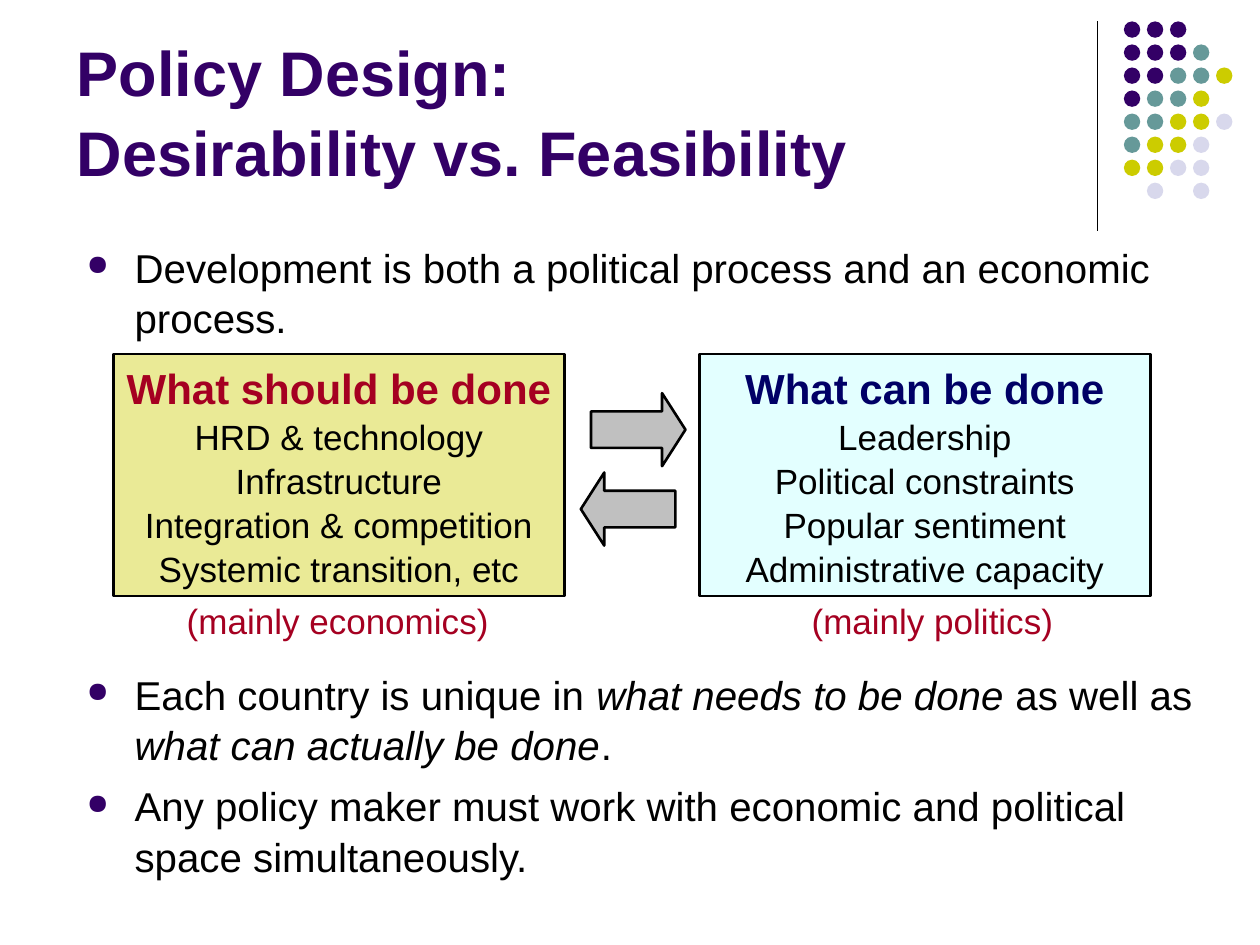
"""Build the slide on policy design, desirability and feasibility."""
import pptx
import pptx.dml.color
import pptx.enum.shapes
import pptx.enum.text
import pptx.oxml
import pptx.oxml.ns
import pptx.util
from lxml import etree

Inches, Pt = pptx.util.Inches, pptx.util.Pt
Align = pptx.enum.text.PP_ALIGN
Anchor = pptx.enum.text.MSO_ANCHOR
Kind = pptx.enum.shapes.MSO_SHAPE
qn = pptx.oxml.ns.qn
HUES = {"P": "330066", "T": "669999", "Y": "CCCC00", "L": "D8D8EC",
        "black": "000000", "red": "A50021", "navy": "000066",
        "aqua": "CCFFFF", "gray": "C0C0C0"}


def style(para, size, hue, bold=False, align=Align.LEFT):
    para.alignment = align
    para.line_spacing = 1.05
    for run in para.runs:
        run.font.name = "Arial"
        run.font.size = Pt(size)
        run.font.bold = bold
        run.font.color.rgb = pptx.dml.color.RGBColor.from_string(HUES[hue])


def draw(kind, left, top, width, height, fill, alpha=100, edge=True):
    shape = slide.shapes.add_shape(
        kind, Inches(left), Inches(top), Inches(width), Inches(height))
    shape.shadow.inherit = False
    shape.fill.solid()
    shape.fill.fore_color.rgb = pptx.dml.color.RGBColor.from_string(HUES[fill])
    if alpha < 100:
        color = shape.fill._xPr.find(".//" + qn("a:srgbClr"))
        etree.SubElement(color, qn("a:alpha"), val=str(alpha * 1000))
    if edge:
        shape.line.color.rgb = pptx.dml.color.RGBColor.from_string(HUES["black"])
        shape.line.width = Pt(1.5)
    else:
        shape.line.fill.background()
    return shape


deck = pptx.Presentation()
deck.slide_width, deck.slide_height = Inches(10), Inches(7.5)
slide = deck.slides.add_slide(deck.slide_layouts[5])

rule = slide.shapes.add_connector(
    pptx.enum.shapes.MSO_CONNECTOR.STRAIGHT,
    Inches(8.71), Inches(0.17), Inches(8.71), Inches(1.83))
rule.line.color.rgb = pptx.dml.color.RGBColor.from_string(HUES["black"])
rule.line.width = Pt(0.75)
etree.SubElement(rule._element.spPr, qn("a:effectLst"))

dots = ["PPP", "PPPT", "PPTTY", "PTTY", "TTYYL", "TYYL", "YYLL", " L L"]
pitch = 1.28 / 7
for row, line in enumerate(dots):
    for col, hue in enumerate(line):
        if hue != " ":
            draw(Kind.OVAL, 8.92 + col * pitch, 0.17 + row * pitch,
                 0.13, 0.13, hue, edge=False)

title = slide.shapes.title
title.left, title.top = Inches(0.51), Inches(0.21)
title.width, title.height = Inches(8.99), Inches(1.34)
frame = title.text_frame
frame.vertical_anchor = Anchor.BOTTOM
frame.word_wrap = True
frame.auto_size = pptx.enum.text.MSO_AUTO_SIZE.NONE
frame.paragraphs[0].text = "Policy Design:\nDesirability vs. Feasibility"
style(frame.paragraphs[0], 36, "P", bold=True)

points = [
    (1.86, 1.04, [["Development is both a political process and an economic process."]]),
    (5.25, 1.83, [
        ["Each country is unique in ", "what needs to be done", " as well as ",
         "what can actually be done", "."],
        ["Any policy maker must work with economic and political space simultaneously."]]),
]
marks = [f'<a:buClr {pptx.oxml.ns.nsdecls("a")}><a:srgbClr val="{HUES["P"]}"/></a:buClr>',
         f'<a:buSzPct {pptx.oxml.ns.nsdecls("a")} val="70000"/>',
         f'<a:buChar {pptx.oxml.ns.nsdecls("a")} char="●"/>']
for top, height, items in points:
    box = slide.shapes.add_textbox(Inches(0.59), Inches(top), Inches(9), Inches(height))
    frame = box.text_frame
    frame.word_wrap = True
    for i, parts in enumerate(items):
        para = frame.paragraphs[0] if i == 0 else frame.add_paragraph()
        for j, part in enumerate(parts):
            run = para.add_run()
            run.text = part
            run.font.italic = j % 2 == 1
        style(para, 23, "black")
        if i:
            para.space_before = Pt(5.8)
        props = para._p.get_or_add_pPr()
        props.set("marL", str(Inches(0.38)))
        props.set("indent", str(-Inches(0.38)))
        for mark in marks:
            props.append(pptx.oxml.parse_xml(mark))

panels = [
    (0.9, "Y", 41, "red", 1.22, "(mainly economics)",
     ["What should be done", "HRD & technology", "Infrastructure",
      "Integration & competition", "Systemic transition, etc"]),
    (5.55, "aqua", 55, "navy", 5.94, "(mainly politics)",
     ["What can be done", "Leadership", "Political constraints",
      "Popular sentiment", "Administrative capacity"]),
]
for left, fill, alpha, hue, start, note, lines in panels:
    panel = draw(Kind.RECTANGLE, left, 2.81, 3.58, 1.92, fill, alpha)
    frame = panel.text_frame
    frame.word_wrap = False
    frame.vertical_anchor = Anchor.MIDDLE
    frame.text = "\n".join(lines)
    style(frame.paragraphs[0], 24, hue, True, Align.CENTER)
    for para in frame.paragraphs[1:]:
        style(para, 20, "black", align=Align.CENTER)
    label = slide.shapes.add_textbox(Inches(start), Inches(4.69), Inches(2.92), Inches(0.44))
    label.text_frame.word_wrap = True
    label.text_frame.text = note
    style(label.text_frame.paragraphs[0], 20, "red", align=Align.CENTER)

for left, top, turn in [(4.69, 3.12, 0), (4.61, 3.75, 180)]:
    arrow = draw(Kind.RIGHT_ARROW, left, top, 0.75, 0.58, "gray")
    arrow.adjustments[0], arrow.adjustments[1] = 0.5, 0.32
    arrow.rotation = turn

deck.save("out.pptx")
